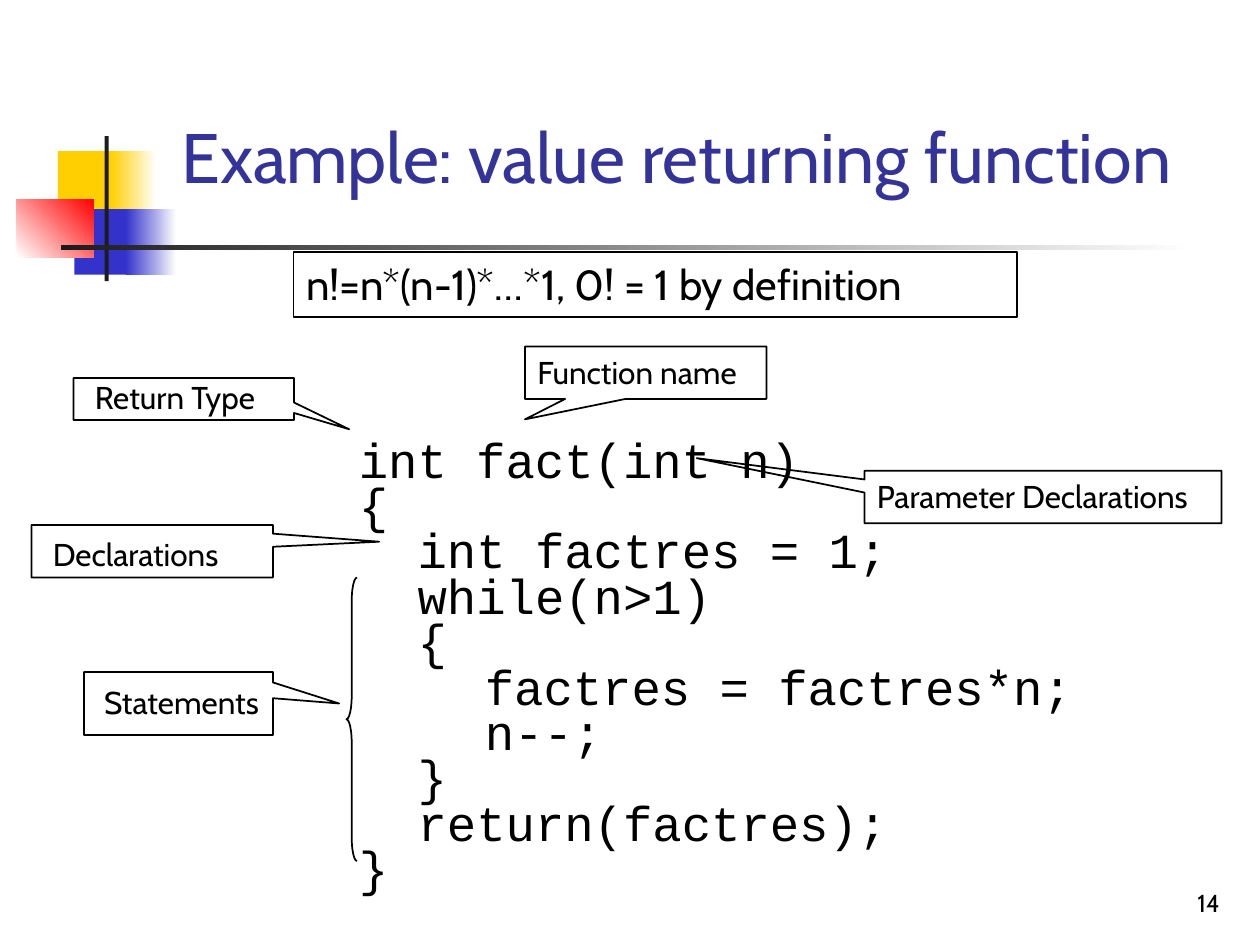
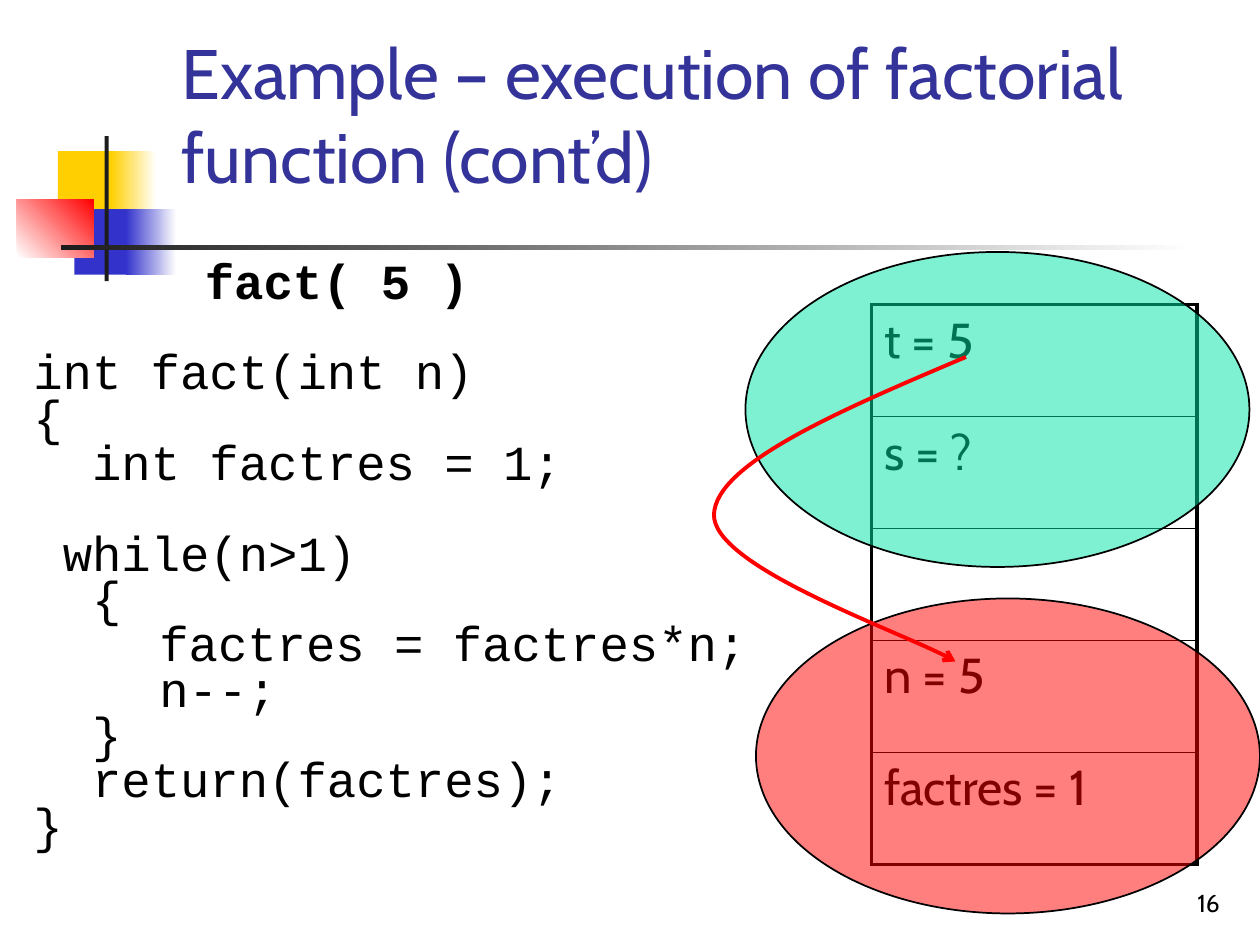
from lxml import etree
from pptx import Presentation
from pptx.dml.color import RGBColor
from pptx.enum.shapes import MSO_SHAPE
from pptx.enum.text import MSO_ANCHOR, MSO_AUTO_SIZE, PP_ALIGN
from pptx.oxml.ns import qn
from pptx.util import Pt

RECT, OVAL = MSO_SHAPE.RECTANGLE, MSO_SHAPE.OVAL
CALLOUT, BRACE = MSO_SHAPE.RECTANGULAR_CALLOUT, MSO_SHAPE.LEFT_BRACE
TOP, BOTTOM = MSO_ANCHOR.TOP, MSO_ANCHOR.BOTTOM
LEFT, RIGHT = PP_ALIGN.LEFT, PP_ALIGN.RIGHT
NO_AUTOFIT = MSO_AUTO_SIZE.NONE

BLACK = RGBColor(0x00, 0x00, 0x00)
WHITE = RGBColor(0xFF, 0xFF, 0xFF)
INK = RGBColor(0x1C, 0x1C, 0x1C)
YELLOW = RGBColor(0xFF, 0xCF, 0x01)
BLUE = RGBColor(0x33, 0x33, 0xCC)
RED = RGBColor(0xFF, 0x00, 0x00)
GREEN = RGBColor(0x00, 0xE4, 0xA8)
TITLE_BLUE = RGBColor(0x33, 0x33, 0x99)

BODY_FONT, CODE_FONT = "Cabin", "Courier New"
CODE_SIZE, CODE_PITCH = 28, 25.9
SPACE, TAB = 16.8, 72  # widths of one code character and of one tab stop
THIN, THICK = 1, 2.25

# Corner ornament: box, colours (two make a gradient), gradient angle
ORNAMENT = [
    ((33.1, 86.4, 34.6, 37.4), (YELLOW,), 0),
    ((63.4, 86.4, 25.9, 37.4), (YELLOW, WHITE), 0),
    ((42.5, 119.5, 33.1, 37.4), (BLUE,), 0),
    ((72, 119.5, 28.8, 37.4), (BLUE, WHITE), 0),
    ((9.7, 113.8, 44, 33.1), (WHITE, RED), 45),
    ((59.8, 77.8, 2.3, 82.8), (INK,), 0),
    ((34.6, 140.2, 648, 2.6), (INK, WHITE), 0),
]


def write(frame, lines, size=18, font=BODY_FONT, color=BLACK, bold=False,
          align=LEFT, anchor=TOP, insets=(7.2, 3.6, 7.2, 3.6), pitch=None):
    """Fill a text frame; a line is a string or (text, indent, space before)."""
    frame.word_wrap = True
    frame.auto_size = NO_AUTOFIT
    frame.vertical_anchor = anchor
    (frame.margin_left, frame.margin_top,
     frame.margin_right, frame.margin_bottom) = map(Pt, insets)
    for number, line in enumerate(lines):
        text, indent, gap = (line, 0, 0) if isinstance(line, str) else line
        paragraph = frame.add_paragraph() if number else frame.paragraphs[0]
        paragraph.alignment = align
        paragraph.space_before = Pt(gap)
        if pitch:
            paragraph.line_spacing = Pt(pitch)
        if indent:
            paragraph._p.get_or_add_pPr().set("marL", str(Pt(indent)))
        run = paragraph.add_run()
        run.text = text
        run.font.name, run.font.size = font, Pt(size)
        run.font.bold, run.font.color.rgb = bold, color


class Deck:
    """The presentation's style and the slide being drawn."""

    def __init__(self):
        """Start a 10 by 7.5 inch presentation."""
        self.presentation = Presentation()
        self.presentation.slide_width = Pt(720)
        self.presentation.slide_height = Pt(540)
        self.slide = None

    def new_slide(self, title, number):
        """Add a slide with its title, ornament and page number."""
        layout = self.presentation.slide_layouts[5]
        self.slide = self.presentation.slides.add_slide(layout)
        heading = self.slide.shapes.title
        heading.left, heading.top = Pt(96.5), Pt(16.6)
        heading.width, heading.height = Pt(583.2), Pt(100)
        write(heading.text_frame, [title], size=40, color=TITLE_BLUE, anchor=BOTTOM)
        for box, colors, angle in ORNAMENT:
            self.shape(RECT, box, colors=colors, angle=angle, outline=False)
        self.text((554.4, 491.8, 149.8, 36), [number], size=14, align=RIGHT,
                  anchor=BOTTOM)

    def shape(self, kind, box, colors=(), angle=0, alpha=None, outline=True,
              adjust=()):
        """Add a preset shape, hollow unless it is given colours."""
        shape = self.slide.shapes.add_shape(kind, *map(Pt, box))
        shape.shadow.inherit = False
        for index, value in enumerate(adjust):
            shape.adjustments[index] = value
        if len(colors) == 2:
            shape.fill.gradient()
            shape.fill.gradient_angle = angle
            for stop, color in zip(shape.fill.gradient_stops, colors):
                stop.color.rgb = color
        elif colors:
            shape.fill.solid()
            shape.fill.fore_color.rgb = colors[0]
        else:
            shape.fill.background()
        if alpha:
            tint = shape._element.spPr.find(".//" + qn("a:srgbClr"))
            etree.SubElement(tint, qn("a:alpha")).set("val", str(alpha * 1000))
        if outline:
            shape.line.color.rgb, shape.line.width = BLACK, Pt(THIN)
        else:
            shape.line.fill.background()
        return shape

    def text(self, box, lines, **style):
        """Add a text box."""
        frame = self.slide.shapes.add_textbox(*map(Pt, box)).text_frame
        write(frame, lines, **style)

    def code(self, box, lines, top):
        """Add a code listing that starts at a distance below the box top."""
        self.text(box, lines, size=CODE_SIZE, font=CODE_FONT, pitch=CODE_PITCH,
                  insets=(7.2, top, 7.2, 0))

    def callout(self, box, label, tip, offset=(0, 0)):
        """Add a labelled callout whose tip is relative to its centre."""
        callout = self.shape(CALLOUT, box, adjust=tip)
        write(callout.text_frame, [label],
              insets=(7.2 + offset[0], 3.6 + offset[1], 0, 0))

    def memory(self, box, values):
        """Add a one-column table of memory cells with a thick frame."""
        grid = self.slide.shapes.add_table(len(values), 1, *map(Pt, box)).table
        grid.first_row = grid.horz_banding = False
        last = len(values) - 1
        for row, value in enumerate(values):
            cell = grid.cell(row, 0)
            cell.fill.background()
            if value:
                write(cell.text_frame, [value], size=28)
            widths = {"L": THICK, "R": THICK, "T": THIN if row else THICK,
                      "B": THICK if row == last else THIN}
            self.borders(cell, widths)

    def borders(self, cell, widths):
        """Draw black borders on the given sides of a cell."""
        properties = cell._tc.get_or_add_tcPr()
        for place, (side, width) in enumerate(widths.items()):
            edge = etree.Element(qn("a:ln" + side), w=str(Pt(width)))
            paint = etree.SubElement(edge, qn("a:solidFill"))
            etree.SubElement(paint, qn("a:srgbClr")).set("val", str(BLACK))
            properties.insert(place, edge)

    def curved_arrow(self, points):
        """Add a red arrow: a start, then three Bezier points per segment."""
        start, *rest = [(Pt(x), Pt(y)) for x, y in points]
        builder = self.slide.shapes.build_freeform(*start)
        builder.add_line_segments(rest, close=False)
        arrow = builder.convert_to_shape()
        arrow.shadow.inherit = False
        arrow.fill.background()
        arrow.line.color.rgb, arrow.line.width = RED, Pt(THICK)
        outline = arrow._element.spPr.find(".//" + qn("a:path"))
        steps = outline.findall(qn("a:lnTo"))
        for first in range(0, len(steps), 3):
            curve = etree.SubElement(outline, qn("a:cubicBezTo"))
            for step in steps[first:first + 3]:
                curve.append(step[0])
                outline.remove(step)
        head = etree.SubElement(arrow.line._get_or_add_ln(), qn("a:tailEnd"))
        head.set("type", "arrow")


def factorial(while_indent, while_gap):
    """Return the lines of the factorial function."""
    inner = 2 * SPACE
    return ["int fact(int n)", "{", ("int factres = 1;", inner, 0),
            ("while(n>1)", while_indent, while_gap), ("{", inner, 0),
            ("factres = factres*n;", TAB, 0), ("n--;", TAB, 0),
            ("}", inner, 0), ("return(factres);", inner, 0), "}"]


def value_returning(deck):
    """Draw the annotated function."""
    deck.new_slide("Example: value returning function", "14")
    deck.code((198, 222, 474, 301), factorial(2 * SPACE, 0), top=31)
    definition = deck.shape(RECT, (167.8, 144, 413.3, 37))
    write(definition.text_frame, ["n!=n*(n-1)*…*1, 0! = 1 by definition"], size=24)
    deck.callout((42, 216, 126, 24), "Return Type", (0.75, 0.72), (5, -3.6))
    deck.callout((300, 198, 138, 30), "Function name", (-0.5, 0.89))
    deck.callout((494, 269, 204, 30), "Parameter Declarations", (-0.97, -0.74))
    deck.callout((18, 300, 138, 30), "Declarations", (0.94, -0.18), (5, 2.2))
    deck.shape(BRACE, (198, 330, 6, 162), adjust=(2.25, 0.5))
    deck.callout((48, 384, 108, 36), "Statements", (0.85, 0), (4.3, 2.9))


def execution(deck):
    """Draw the call fact(5) and the memory it uses."""
    deck.new_slide("Example – execution of factorial function (cont’d)", "16")
    deck.code((12, 180, 432, 326), factorial(SPACE, CODE_PITCH), top=22.5)
    deck.memory((498, 174, 186, 320), ["t = 5", "s = ?", "", "n = 5", "factres = 1"])
    deck.shape(OVAL, (426, 144, 288, 180), colors=(GREEN,), alpha=50)
    deck.shape(OVAL, (432, 342, 288, 180), colors=(RED,), alpha=50)
    deck.curved_arrow([(552, 204), (480, 234.5), (409, 265), (408, 294),
                       (407, 323), (523, 364), (546, 378)])
    deck.text((110, 139.7, 216, 41), ["fact( 5 )"], size=CODE_SIZE,
              font=CODE_FONT, bold=True)


deck = Deck()
value_returning(deck)
execution(deck)
deck.presentation.save("out.pptx")
